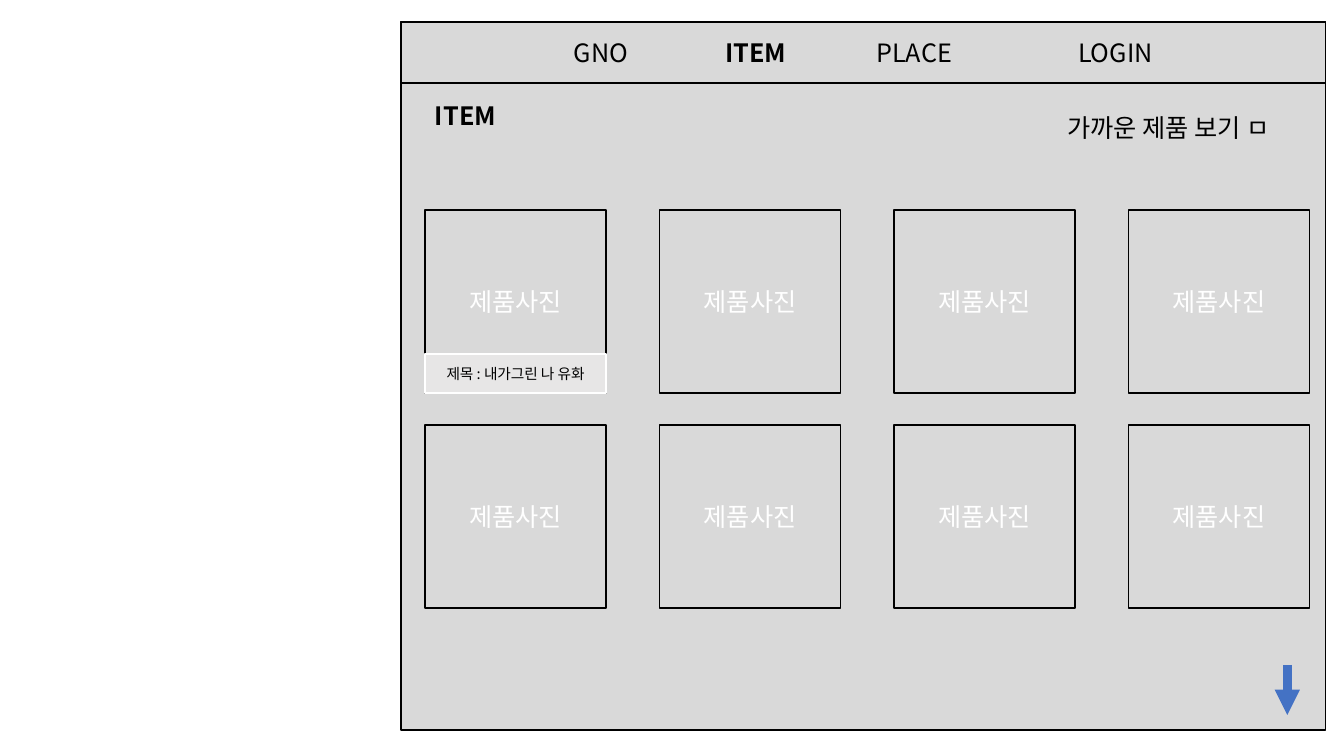
"""Build a product gallery wireframe slide."""
import pptx
import pptx.dml.color
import pptx.enum.shapes
import pptx.enum.text
import pptx.oxml
import pptx.oxml.ns
import pptx.util

FONT = "Noto Sans CJK KR"
BLACK, WHITE, GREY, PALE, BLUE = "000000", "FFFFFF", "D9D9D9", "E7E6E6", "4472C4"
SHAPES = pptx.enum.shapes.MSO_SHAPE

WINDOW = (401, 22, 924, 708)
MENU_BAR = (401, 22, 924, 61)
MENU = [("GNO\t\t", False), ("ITEM", True), ("\t\tPLACE\t\t\tLOGIN", False)]
LABELS = [((425, 95, 82, 40), "ITEM", True),
          ((1057, 107, 251, 40), "가까운 제품 보기 ㅁ", False)]
PHOTO = "제품사진"
CAPTION = "제목 : 내가그린 나 유화"
CAPTION_HEIGHT = 39
COLUMNS, ROWS = 4, 2
CARD_LEFT, CARD_TOP, CARD_WIDTH, CARD_HEIGHT = 425, 210, 181, 183
STEP_X, STEP_Y = 234.33, 215
ARROW = (1287, 665, 1287, 715)


def px(length):
    return pptx.util.Emu(round(length * 914400 / 100.8))


def colour(value):
    return pptx.dml.color.RGBColor.from_string(value)


def write(shape, pieces, ink, size=18):
    paragraph = shape.text_frame.paragraphs[0]
    for words, bold in pieces:
        span = paragraph.add_run()
        span.text = words
        span.font.size = pptx.util.Pt(size)
        span.font.bold = bold
        span.font.color.rgb = colour(ink)
        span.font.name = FONT
        east_asian = pptx.oxml.parse_xml(
            f'<a:ea {pptx.oxml.ns.nsdecls("a")} typeface="{FONT}"/>')
        span.font._element.append(east_asian)
    return paragraph


def add_panel(shapes, place, pieces=(), ink=WHITE, size=18,
              fill=GREY, line=BLACK, kind=SHAPES.RECTANGLE):
    panel = shapes.add_shape(kind, *map(px, place))
    panel.shadow.inherit = False
    panel.fill.solid()
    panel.fill.fore_color.rgb = colour(fill)
    panel.line.color.rgb = colour(line)
    panel.line.width = pptx.util.Pt(1)
    panel.text_frame.vertical_anchor = pptx.enum.text.MSO_ANCHOR.MIDDLE
    paragraph = write(panel, pieces, ink, size)
    paragraph.alignment = pptx.enum.text.PP_ALIGN.CENTER


def add_label(shapes, place, words, bold):
    box = shapes.add_textbox(*map(px, place))
    box.text_frame.word_wrap = False
    box.text_frame.auto_size = pptx.enum.text.MSO_AUTO_SIZE.SHAPE_TO_FIT_TEXT
    write(box, [(words, bold)], BLACK)


def add_arrow(shapes, ends):
    arrow = shapes.add_connector(
        pptx.enum.shapes.MSO_CONNECTOR.STRAIGHT, *map(px, ends))
    arrow.line.color.rgb = colour(BLUE)
    arrow.line.width = pptx.util.Pt(6)
    namespace = pptx.oxml.ns.nsdecls("a")
    arrow.line._get_or_add_ln().append(
        pptx.oxml.parse_xml(f'<a:tailEnd {namespace} type="triangle"/>'))
    arrow._element.spPr.append(
        pptx.oxml.parse_xml(f"<a:effectLst {namespace}/>"))


deck = pptx.Presentation()
deck.slide_width = pptx.util.Inches(13.33)
deck.slide_height = pptx.util.Inches(7.5)
page = deck.slides.add_slide(deck.slide_layouts[6])

add_panel(page.shapes, WINDOW)
add_panel(page.shapes, MENU_BAR, MENU, BLACK)
for label in LABELS:
    add_label(page.shapes, *label)

captioned_card = page.shapes.add_group_shape()
for row in range(ROWS):
    for column in range(COLUMNS):
        owner = captioned_card if row == column == 0 else page
        place = (CARD_LEFT + column * STEP_X, CARD_TOP + row * STEP_Y,
                 CARD_WIDTH, CARD_HEIGHT)
        add_panel(owner.shapes, place, [(PHOTO, False)])

caption_place = (CARD_LEFT, CARD_TOP + CARD_HEIGHT - CAPTION_HEIGHT,
                 CARD_WIDTH, CAPTION_HEIGHT)
add_panel(captioned_card.shapes, caption_place, [(CAPTION, False)], BLACK, 10.5,
          PALE, WHITE, SHAPES.FLOWCHART_PROCESS)
add_arrow(page.shapes, ARROW)

deck.save("out.pptx")
